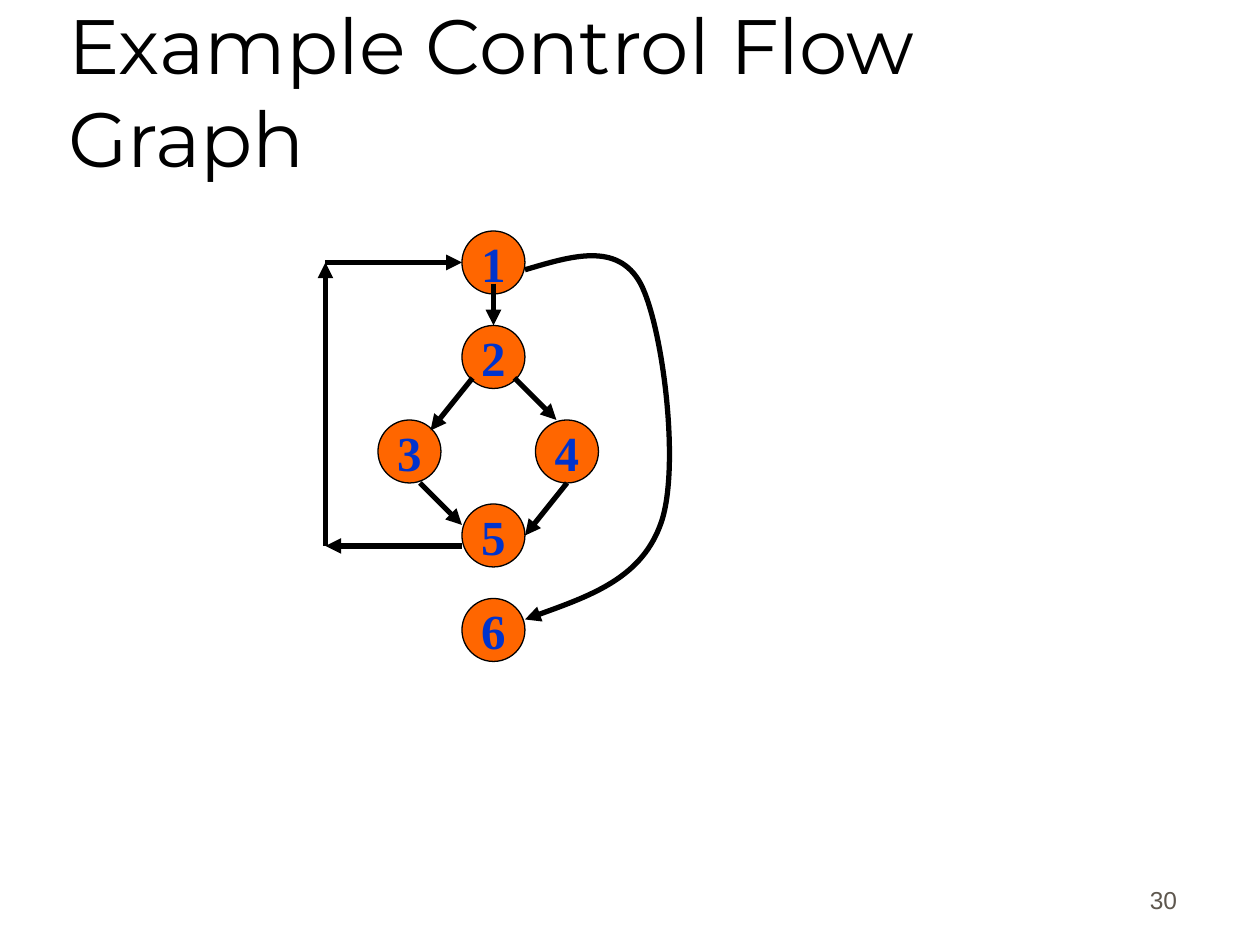
"""Build the slide "Example Control Flow Graph"."""
from lxml import etree
from pptx import Presentation
from pptx.dml.color import RGBColor
from pptx.enum.shapes import MSO_CONNECTOR, MSO_SHAPE
from pptx.enum.text import MSO_ANCHOR, MSO_AUTO_SIZE, PP_ALIGN
from pptx.oxml.ns import qn
from pptx.util import Pt

PX = 7620
STRAIGHT = MSO_CONNECTOR.STRAIGHT
OVAL = MSO_SHAPE.OVAL
BOTTOM, MIDDLE = MSO_ANCHOR.BOTTOM, MSO_ANCHOR.MIDDLE
LEFT, CENTER, RIGHT = PP_ALIGN.LEFT, PP_ALIGN.CENTER, PP_ALIGN.RIGHT
NO_AUTOFIT = MSO_AUTO_SIZE.NONE
NODE_SIZE = 60


def write(shape, text, font_name, size, color, alignment, anchor, wrap=True, bold=False):
    frame = shape.text_frame
    frame.text = text
    frame.auto_size = NO_AUTOFIT
    frame.word_wrap = wrap
    frame.vertical_anchor = anchor
    paragraph = frame.paragraphs[0]
    paragraph.alignment = alignment
    paragraph.font.name = font_name
    paragraph.font.size = Pt(size)
    paragraph.font.bold = bold
    paragraph.font.color.rgb = RGBColor.from_string(color)


def draw_arrow(shape):
    shape.line.color.rgb = RGBColor.from_string("000000")
    shape.line.width = Pt(3)
    etree.SubElement(shape.line._get_or_add_ln(), qn("a:tailEnd"), type="triangle")
    etree.SubElement(shape._element.spPr, qn("a:effectLst"))


presentation = Presentation()
presentation.slide_width = 1200 * PX
presentation.slide_height = 900 * PX
slide = presentation.slides.add_slide(presentation.slide_layouts[5])
shapes = slide.shapes

title = shapes.title
title.left, title.top, title.width, title.height = 53 * PX, 30 * PX, 1020 * PX, 150 * PX
write(title, "Example Control Flow Graph", "Montserrat", 44, "000000", LEFT, BOTTOM)

nodes = [(440, 220), (440, 310), (360, 400), (510, 400), (440, 480), (440, 570)]
for number, (left, top) in enumerate(nodes, start=1):
    node = shapes.add_shape(OVAL, left * PX, top * PX, NODE_SIZE * PX, NODE_SIZE * PX)
    node.shadow.inherit = False
    node.fill.solid()
    node.fill.fore_color.rgb = RGBColor.from_string("FF6600")
    node.line.color.rgb = RGBColor.from_string("000000")
    node.line.width = Pt(0.75)
    write(node, str(number), "Times New Roman", 28, "0033CC", CENTER, MIDDLE, wrap=False, bold=True)

edges = [
    (470, 270, 470, 310),
    (450, 360, 410, 410),
    (490, 360, 530, 400),
    (400, 460, 440, 500),
    (540, 460, 500, 510),
    (440, 520, 310, 520),
    (310, 520, 310, 250),
    (310, 250, 440, 250),
]
for edge in edges:
    draw_arrow(shapes.add_connector(STRAIGHT, *(value * PX for value in edge)))

exit_points = [
    (500, 257), (544, 244), (588, 230), (610, 270), (631, 310),
    (648, 443), (630, 497), (612, 550), (556, 570), (500, 590),
]
builder = shapes.build_freeform(*exit_points[0], scale=PX)
builder.add_line_segments(exit_points[1:], close=False)
exit_curve = builder.convert_to_shape()
segments = list(exit_curve._element.iter(qn("a:lnTo")))
for start in range(0, len(segments), 3):
    bezier = etree.SubElement(segments[start].getparent(), qn("a:cubicBezTo"))
    for segment in segments[start:start + 3]:
        bezier.append(segment[0])
        segment.getparent().remove(segment)
exit_curve.fill.background()
draw_arrow(exit_curve)

page_number = shapes.add_textbox(883 * PX, 817 * PX, 250 * PX, 60 * PX)
write(page_number, "30", "Arial", 14, "5E574E", RIGHT, BOTTOM)

presentation.save("out.pptx")
